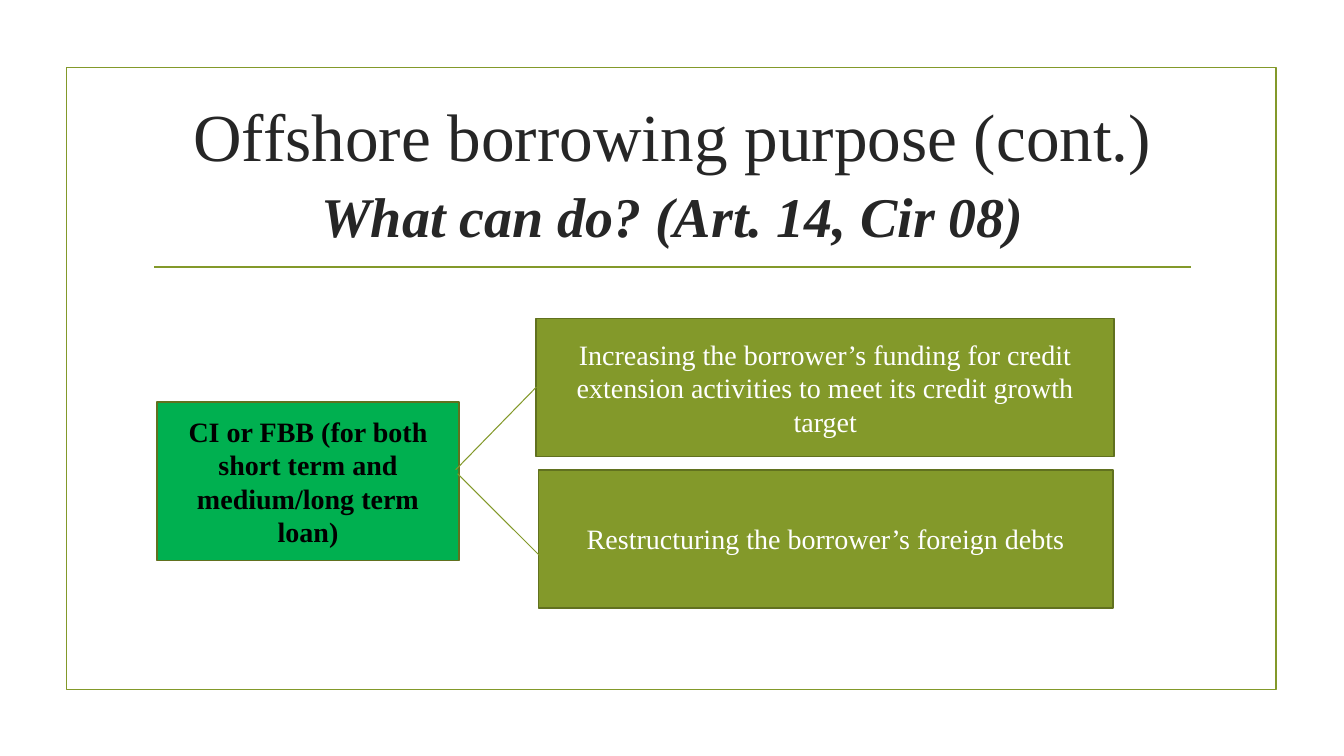
"""Build the slide on permitted purposes of offshore borrowing."""
from pptx import Presentation
from pptx.dml.color import RGBColor
from pptx.enum.shapes import MSO_CONNECTOR as Connector, MSO_SHAPE as Shape
from pptx.enum.text import MSO_ANCHOR as Anchor, PP_ALIGN as Align
from pptx.oxml.ns import qn
from pptx.util import Inches, Pt
from lxml.etree import SubElement

OLIVE = RGBColor(0x83, 0x99, 0x2A)
DARK_OLIVE = RGBColor(0x61, 0x71, 0x1F)
GREEN = RGBColor(0x00, 0xB0, 0x50)
CHARCOAL = RGBColor(0x26, 0x26, 0x26)
BLACK = RGBColor(0x00, 0x00, 0x00)
WHITE = RGBColor(0xFF, 0xFF, 0xFF)

TITLE = "Offshore borrowing purpose (cont.)"
SUBTITLE = "What can do? (Art. 14, Cir 08)"
FRAME = (0.66, 0.67, 12, 6.17)
TITLE_AREA = (1.42, 0.69, 10.5, 1.81)
BOXES = [
    ("CI or FBB (for both short term and medium/long term loan)",
     (1.56, 3.99, 2.99, 1.57), GREEN, BLACK, True),
    ("Increasing the borrower’s funding for credit extension activities "
     "to meet its credit growth target",
     (5.32, 3.16, 5.73, 1.37), OLIVE, WHITE, False),
    ("Restructuring the borrower’s foreign debts",
     (5.34, 4.66, 5.7, 1.37), OLIVE, WHITE, False),
]
LINES = [
    ((1.53, 2.65), (11.81, 2.65), 1.25),
    ((4.54, 4.7), (5.54, 5.7), 0.75),
    ((4.52, 4.66), (5.32, 3.84), 0.75),
]


def add_span(para, text, size, color, bold=False, italic=False):
    span = para.add_run()
    span.text = text
    font = span.font
    font.name, font.size = "Times New Roman", Pt(size)
    font.bold, font.italic = bold, italic
    font.color.rgb = color


def centred_para(shape):
    frame = shape.text_frame
    frame.word_wrap = True
    frame.vertical_anchor = Anchor.MIDDLE
    para = frame.paragraphs[0]
    para.alignment = Align.CENTER
    return para


def add_box(page, place, line, fill=None):
    box = page.shapes.add_shape(Shape.RECTANGLE, *map(Inches, place))
    box.shadow.inherit = False
    if fill is None:
        box.fill.background()
    else:
        box.fill.solid()
        box.fill.fore_color.rgb = fill
    box.line.color.rgb = line
    box.line.width = Pt(1.25)
    return box


def add_line(page, start, end, width):
    line = page.shapes.add_connector(
        Connector.STRAIGHT, *map(Inches, start + end))
    line.line.color.rgb = OLIVE
    line.line.width = Pt(width)
    SubElement(line._element.spPr, qn("a:effectLst"))


def main():
    deck = Presentation()
    deck.slide_width, deck.slide_height = Inches(13.33), Inches(7.5)
    page = deck.slides.add_slide(deck.slide_layouts[6])

    add_box(page, FRAME, OLIVE)
    title = page.shapes.add_textbox(*map(Inches, TITLE_AREA))
    para = centred_para(title)
    title.text_frame.margin_top = Inches(0.19)
    para.line_spacing = 1.1
    add_span(para, TITLE, 48, CHARCOAL)
    para.add_line_break()
    add_span(para, SUBTITLE, 40, CHARCOAL, bold=True, italic=True)

    for text, place, fill, color, bold in BOXES:
        box = add_box(page, place, DARK_OLIVE, fill)
        add_span(centred_para(box), text, 20, color, bold=bold)
    for start, end, width in LINES:
        add_line(page, start, end, width)

    deck.save("out.pptx")


if __name__ == "__main__":
    main()
